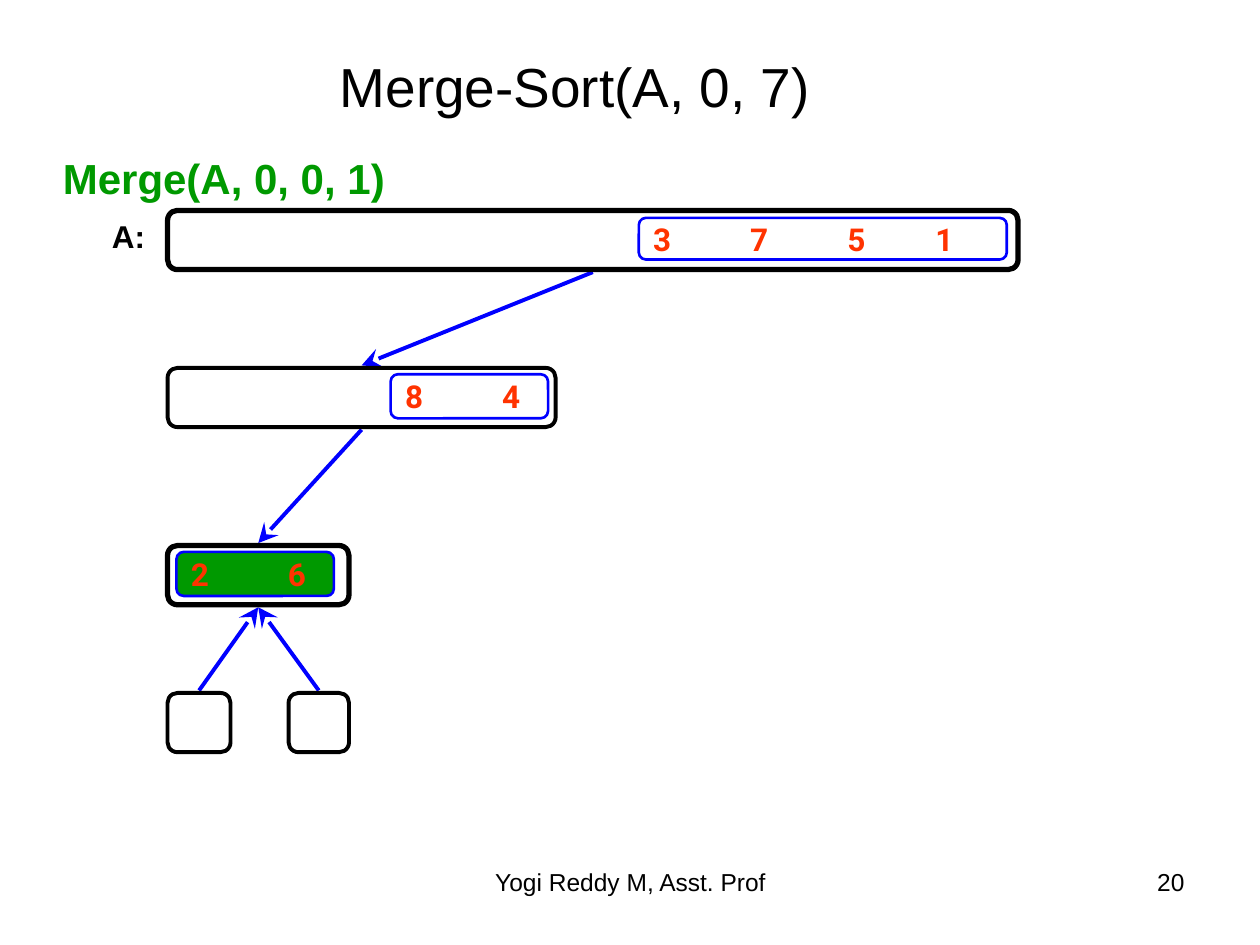
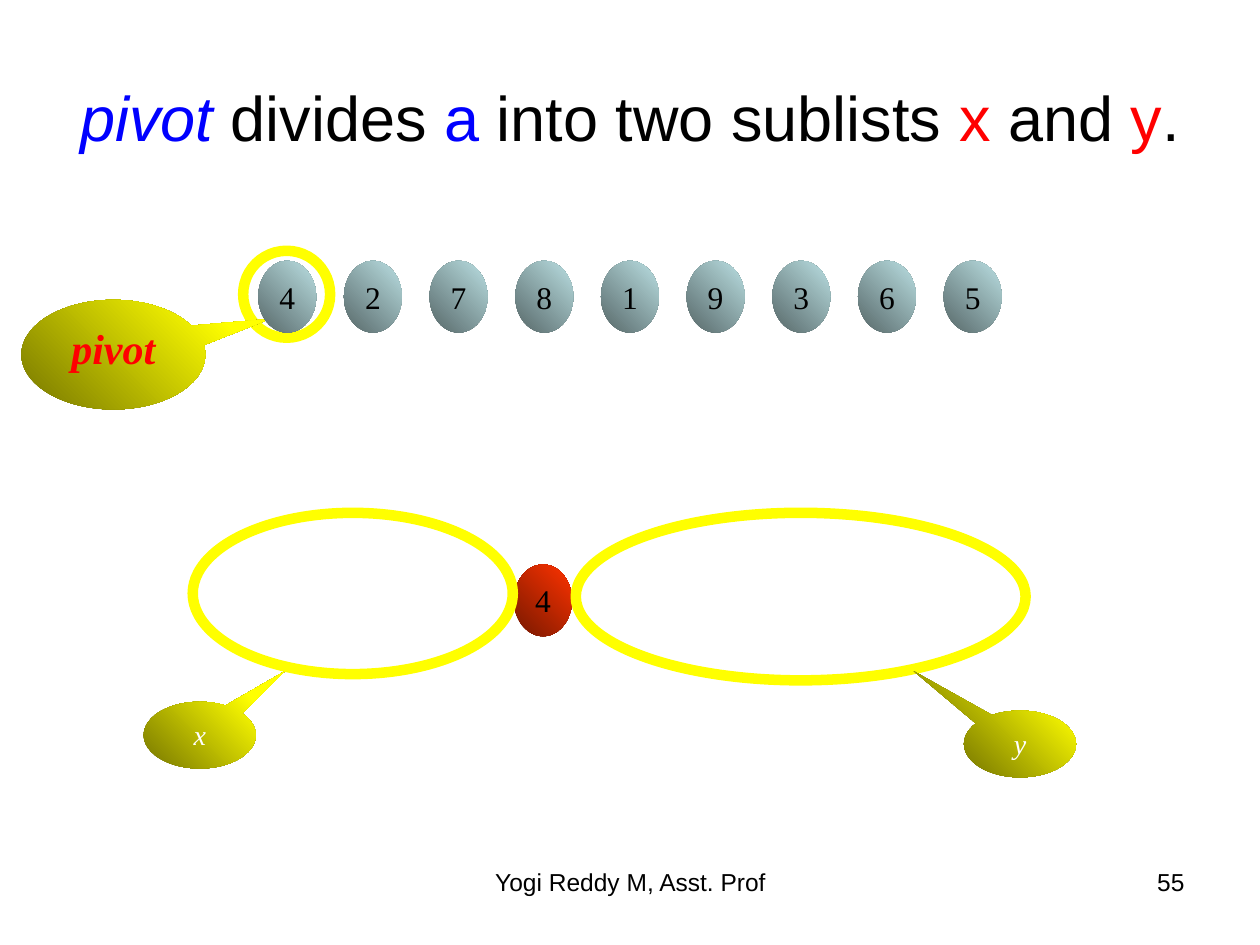
import pptx
import pptx.util
import pptx.dml.color
import pptx.enum.shapes
import pptx.enum.text
import pptx.oxml
import pptx.oxml.ns

Inch, Pt = pptx.util.Inches, pptx.util.Pt
RGB = pptx.dml.color.RGBColor
Kind = pptx.enum.shapes.MSO_SHAPE
Align = pptx.enum.text.PP_ALIGN
Mid = pptx.enum.text.MSO_ANCHOR

BLACK = RGB(0, 0, 0)
WHITE = RGB(0xFF, 0xFF, 0xFF)
BLUE = RGB(0, 0, 0xFF)
RED = RGB(0xFF, 0, 0)
GREEN = RGB(0, 0x99, 0)
FLAME = RGB(0xFF, 0x33, 0)
YELLOW = RGB(0xFF, 0xFF, 0)
SKY = (RGB(0x57, 0x68, 0x69), RGB(0xBB, 0xE0, 0xE3))
EMBER = (RGB(0x76, 0x18, 0), FLAME)
GOLD = (RGB(0x76, 0x76, 0), YELLOW)
SERIF = "Times New Roman"

# Shared content: slide size and footer
WIDE, HIGH = 10, 7.5
AUTHOR = "Yogi Reddy M, Asst. Prof"

# Merge sort: bars as (column, row, width, line weight)
LEFT, BAR, GAP = 1.33, 0.47, 0.02
ROWS = [1.67, 2.92, 4.33, 5.5]
BARS = {
    "all": (0, 0, 6.75, 3),
    "half": (0, 1, 3.08, 2.25),
    "pair": (0, 2, 1.44, 3),
    "one": (0, 3, 0.5, 2.25),
    "two": (0.96, 3, 0.48, 2.25),
}
CALLS = [("all", "half"), ("half", "pair")]
MERGES = [("one", "pair"), ("two", "pair")]
# Waiting values: digits, place, fill
LISTS = [
    ("3751", (5.07, 1.73, 2.92, 0.33), None),
    ("84", (3.1, 2.97, 1.25, 0.35), None),
    ("26", (1.4, 4.38, 1.25, 0.35), GREEN),
]
TABS = [0.77, 1.54, 2.24]

# Quick sort: title runs, values, rings and callouts
PIVOT = [("pivot ", BLUE, True), ("divides ", BLACK), ("a", BLUE),
         (" into two sublists ", BLACK), ("x", RED), (" and ", BLACK),
         ("y", RED), (".", BLACK)]
VALUES = "427819365"
START, STEP, BALL = 2.05, 0.68, (0.46, 0.57)
RINGS = [(1.53, 4.07, 2.54, 1.28), (4.57, 4.07, 3.57, 1.33)]
NOTES = [
    ("pivot", (0.17, 2.38, 1.46, 0.87), (0.852, -0.326), 24, RED, True),
    ("x", (1.14, 5.57, 0.89, 0.53), (0.758, -0.957), 16, WHITE, False),
    ("y", (7.65, 5.64, 0.89, 0.53), (-0.945, -1.089), 16, WHITE, False),
]


def write(shape, runs, size=18, font="Arial", color=BLACK, bold=False,
          italic=False, align=Align.LEFT, anchor=Mid.TOP, pad=0.1, tabs=()):
    """Fill a shape with one paragraph; runs is text or (text, colour, italic)."""
    frame = shape.text_frame
    frame.auto_size = pptx.enum.text.MSO_AUTO_SIZE.NONE
    frame.word_wrap = True
    frame.vertical_anchor = anchor
    frame.margin_left = frame.margin_right = Inch(pad)
    frame.margin_top = frame.margin_bottom = Inch(pad / 2)
    para = frame.paragraphs[0]
    para.alignment = align
    if tabs:
        stops = pptx.oxml.parse_xml(
            "<a:tabLst %s/>" % pptx.oxml.ns.nsdecls("a"))
        for stop in tabs:
            tab = stops.makeelement(pptx.oxml.ns.qn("a:tab"),
                                    {"pos": str(Inch(stop)), "algn": "l"})
            stops.append(tab)
        para._p.get_or_add_pPr().append(stops)
    if isinstance(runs, str):
        runs = [(runs, color, italic)]
    for text, tint, *slant in runs:
        run = para.add_run()
        run.text = text
        face = run.font
        face.name, face.size, face.bold = font, Pt(size), bold
        face.italic = bool(slant and slant[0])
        face.color.rgb = tint


def draw(slide, kind, place, fill=None, line=None, weight=1, adjust=()):
    """Add a preset shape; a pair of colours makes a gradient fill."""
    shape = slide.shapes.add_shape(kind, *map(Inch, place))
    shape.shadow.inherit = False
    for spot, value in enumerate(adjust):
        shape.adjustments[spot] = value
    if fill is None:
        shape.fill.background()
    elif isinstance(fill, RGB):
        shape.fill.solid()
        shape.fill.fore_color.rgb = fill
    else:
        shape.fill.gradient()
        shape.fill.gradient_angle = 45
        for stop, tint in zip(shape.fill.gradient_stops, fill):
            stop.color.rgb = tint
    if line is None:
        shape.line.fill.background()
    else:
        shape.line.color.rgb = line
        shape.line.width = Pt(weight)
    return shape


def label(slide, place, text, **style):
    write(slide.shapes.add_textbox(*map(Inch, place)), text, **style)


def arrow(slide, start, end):
    link = slide.shapes.add_connector(
        pptx.enum.shapes.MSO_CONNECTOR.STRAIGHT, *map(Inch, start + end))
    link.line.color.rgb = BLUE
    link.line.width = Pt(2.25)
    space = pptx.oxml.ns.nsdecls("a")
    link.line._get_or_add_ln().append(pptx.oxml.parse_xml(
        '<a:tailEnd %s type="stealth" w="lg" len="lg"/>' % space))
    link._element.spPr.append(
        pptx.oxml.parse_xml("<a:effectLst %s/>" % space))


def page(deck, number, place, title, **style):
    """Start a slide with its title and footer."""
    slide = deck.slides.add_slide(deck.slide_layouts[5])
    head = slide.shapes.title
    head.left, head.top, head.width, head.height = map(Inch, place)
    write(head, title, align=Align.CENTER, **style)
    label(slide, (3.42, 6.83, 3.17, 0.52), AUTHOR, size=14,
          align=Align.CENTER)
    label(slide, (7.17, 6.83, 2.33, 0.52), str(number), size=14,
          align=Align.RIGHT)
    return slide


def merge(deck):
    slide = page(deck, 20, (0.44, 0.35, 8.25, 0.64), "Merge-Sort(A, 0, 7)",
                 size=31.4, anchor=Mid.BOTTOM)

    def port(name, below):
        col, row, width, _ = BARS[name]
        return (LEFT + col + width / 2,
                ROWS[row] + (BAR + GAP if below else -GAP))

    # Arrows between bars
    for source, target in CALLS:
        arrow(slide, port(source, True), port(target, False))
    for source, target in MERGES:
        arrow(slide, port(source, False), port(target, True))

    # Bars and the values they hold
    for col, row, width, weight in BARS.values():
        draw(slide, Kind.ROUNDED_RECTANGLE,
             (LEFT + col, ROWS[row], width, BAR),
             line=BLACK, weight=weight, adjust=[0.167])
    for digits, place, fill in LISTS:
        box = draw(slide, Kind.ROUNDED_RECTANGLE, place, fill, BLUE, 1.5,
                   [0.167])
        write(box, "\t".join(digits), font="Roboto", color=FLAME, bold=True,
              anchor=Mid.MIDDLE, tabs=TABS[:len(digits) - 1])

    # Labels
    label(slide, (0.4, 1.16, 4.08, 0.5), "Merge(A, 0, 0, 1)", size=24,
          color=GREEN, bold=True)
    label(slide, (0.79, 1.67, 0.5, 0.4), "A:", bold=True)


def split(deck):
    slide = page(deck, 55, (0.5, 0.3, 9, 1.25), PIVOT, size=36,
                 anchor=Mid.MIDDLE)

    def ball(digit, left, top, fill):
        shape = draw(slide, Kind.OVAL, (left, top) + BALL, fill)
        write(shape, digit, font=SERIF, align=Align.CENTER,
              anchor=Mid.MIDDLE, pad=0)

    def note(text, place, tip, size, color, bold):
        shape = draw(slide, Kind.OVAL_CALLOUT, place, GOLD, adjust=tip)
        write(shape, text, size=size, font=SERIF, color=color, bold=bold,
              italic=True, align=Align.CENTER)

    # Pivot ring and callout lie behind the list
    draw(slide, Kind.OVAL, (1.93, 1.99, 0.69, 0.69), WHITE, YELLOW, 6)
    ball(VALUES[0], 4.08, 4.48, EMBER)
    note(*NOTES[0])
    for spot, digit in enumerate(VALUES):
        ball(digit, START + spot * STEP, 2.07, SKY)

    # Sublists
    for place in RINGS:
        draw(slide, Kind.OVAL, place, line=YELLOW, weight=6)
    for item in NOTES[1:]:
        note(*item)


def main():
    deck = pptx.Presentation()
    deck.slide_width, deck.slide_height = Inch(WIDE), Inch(HIGH)
    merge(deck)
    split(deck)
    deck.save("out.pptx")


if __name__ == "__main__":
    main()
